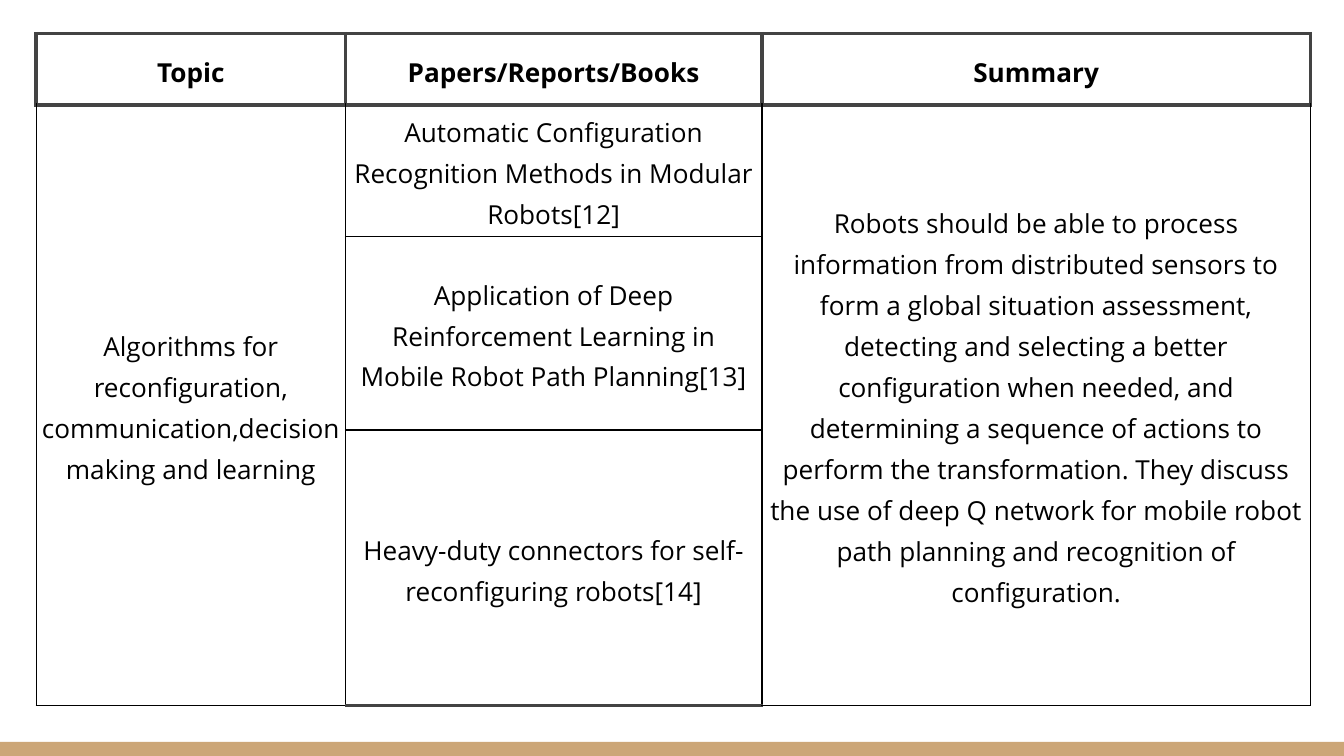
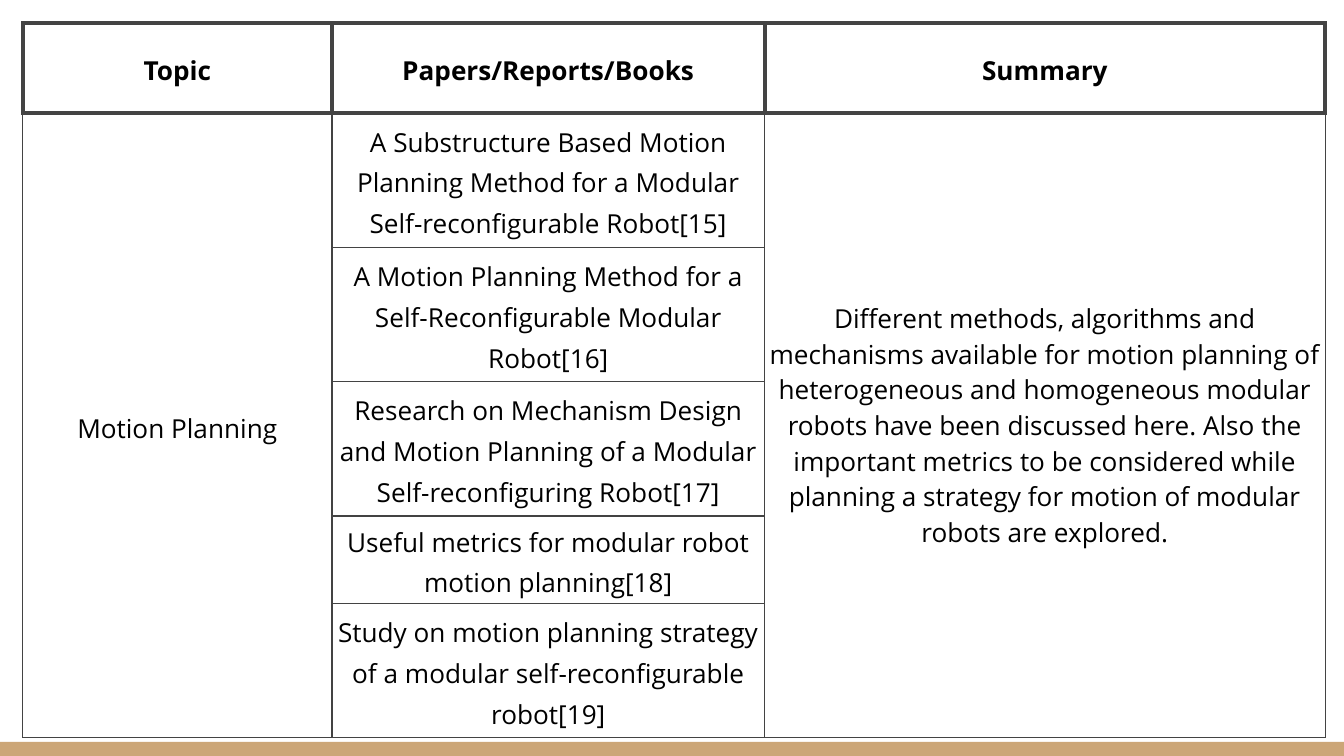
from lxml.etree import SubElement
from pptx import Presentation
from pptx.dml.color import RGBColor
from pptx.enum.shapes import MSO_SHAPE
from pptx.enum.text import MSO_ANCHOR, PP_ALIGN
from pptx.oxml.ns import qn
from pptx.util import Inches, Pt

BLACK = RGBColor(0x00, 0x00, 0x00)
GRAPHITE = RGBColor(0x43, 0x43, 0x43)
TAN = RGBColor(0xCC, 0xA6, 0x77)
WHITE = RGBColor(0xFF, 0xFF, 0xFF)

GRID_COLUMNS = 1000
GRID_ROWS = 562.5
HEADINGS = ("Topic", "Papers/Reports/Books", "Summary")
THIN = 0.75
THICK = 2.25


class ReviewDeck:
    font_name = "Open Sans"
    font_size = Pt(14)

    def __init__(self):
        self.deck = Presentation()
        self.deck.slide_width = Inches(10)
        self.deck.slide_height = self.deck.slide_width * 9 // 16
        self.slide = None

    def across(self, columns):
        return round(self.deck.slide_width * columns / GRID_COLUMNS)

    def down(self, rows):
        return round(self.deck.slide_height * rows / GRID_ROWS)

    def add_page(self):
        self.slide = self.deck.slides.add_slide(self.deck.slide_layouts[6])
        self.slide.background.fill.solid()
        self.slide.background.fill.fore_color.rgb = WHITE
        self.add_band()

    def add_band(self):
        top = self.down(552)
        band = self.slide.shapes.add_shape(
            MSO_SHAPE.RECTANGLE, 0, top,
            self.deck.slide_width, self.deck.slide_height - top)
        band.shadow.inherit = False
        band.fill.solid()
        band.fill.fore_color.rgb = TAN
        band.line.fill.background()

    def set_borders(self, cell, borders):
        properties = cell._tc.get_or_add_tcPr()
        for side in "LRTB":
            color, width = borders[side]
            line = SubElement(properties, qn(f"a:ln{side}"), w=str(Pt(width)))
            fill = SubElement(line, qn("a:solidFill"))
            SubElement(fill, qn("a:srgbClr"), val=str(color))

    def set_text(self, cell, text, bold=False, spacing=1.15):
        cell.text_frame.text = text
        para = cell.text_frame.paragraphs[0]
        para.alignment = PP_ALIGN.CENTER
        para.line_spacing = spacing
        for span in para.runs:
            span.font.name = self.font_name
            span.font.size = self.font_size
            span.font.bold = bold
            span.font.color.rgb = BLACK

    def style_cell(self, cell, borders):
        cell.vertical_anchor = MSO_ANCHOR.MIDDLE
        cell.margin_left = cell.margin_right = self.across(3)
        cell.margin_top = cell.margin_bottom = self.down(2)
        self.set_borders(cell, borders)
        cell.fill.background()

    def add_review(self, left, top, columns, rows, topic, papers, summary,
                   line_color, summary_spacing=1.15, heavy_end=False):
        table = self.slide.shapes.add_table(
            len(rows), len(columns), self.across(left), self.down(top),
            self.across(sum(columns)), self.down(sum(rows))).table
        table.first_row = table.horz_banding = False
        for column, width in zip(table.columns, columns):
            column.width = self.across(width)
        for row, height in zip(table.rows, rows):
            row.height = self.down(height)

        heavy = (GRAPHITE, THICK)
        last = len(papers)
        for row in range(last + 1):
            for column in range(len(columns)):
                line = heavy if row == 0 else (line_color, THIN)
                borders = dict.fromkeys("LRTB", line)
                if row == 1:
                    borders["T"] = heavy
                if heavy_end and row == last and column == 1:
                    borders["B"] = heavy
                self.style_cell(table.cell(row, column), borders)

        for column, heading in enumerate(HEADINGS):
            self.set_text(table.cell(0, column), heading, bold=True)
        for row, paper in enumerate(papers, start=1):
            self.set_text(table.cell(row, 1), paper)
        for column in (0, 2):
            table.cell(1, column).merge(table.cell(last, column))
        self.set_text(table.cell(1, 0), topic)
        self.set_text(table.cell(1, 2), summary, spacing=summary_spacing)


def main():
    review = ReviewDeck()

    review.add_page()
    review.add_review(
        27, 25, (230, 310, 408), (53, 98, 144, 205),
        "Algorithms for reconfiguration, communication,decision "
        "making and learning",
        ("Automatic Configuration Recognition Methods in Modular Robots[12]",
         "Application of Deep Reinforcement Learning in Mobile Robot "
         "Path Planning[13]",
         "Heavy-duty connectors for self-reconfiguring robots[14]"),
        "Robots should be able to process information from distributed "
        "sensors to form a global situation assessment, detecting and "
        "selecting a better configuration when needed, and determining a "
        "sequence of actions to perform the transformation. They discuss "
        "the use of deep Q network for mobile robot path planning and "
        "recognition of configuration.",
        BLACK, heavy_end=True)

    review.add_page()
    review.add_review(
        17, 17, (230, 322, 417), (67, 100, 100, 100, 55, 100),
        "Motion Planning",
        ("A Substructure Based Motion Planning Method for a Modular "
         "Self-reconfigurable Robot[15]",
         "A Motion Planning Method for a Self-Reconfigurable Modular "
         "Robot[16]",
         "Research on Mechanism Design and Motion Planning of a Modular "
         "Self-reconfiguring Robot[17]",
         "Useful metrics for modular robot motion planning[18]",
         "Study on motion planning strategy of a modular "
         "self-reconfigurable robot[19]"),
        "Different methods, algorithms and mechanisms available for motion "
        "planning of heterogeneous and homogeneous modular robots have been "
        "discussed here. Also the important metrics to be considered while "
        "planning a strategy for motion of modular robots are explored.",
        GRAPHITE, summary_spacing=1.0)

    review.deck.save("out.pptx")


if __name__ == "__main__":
    main()
